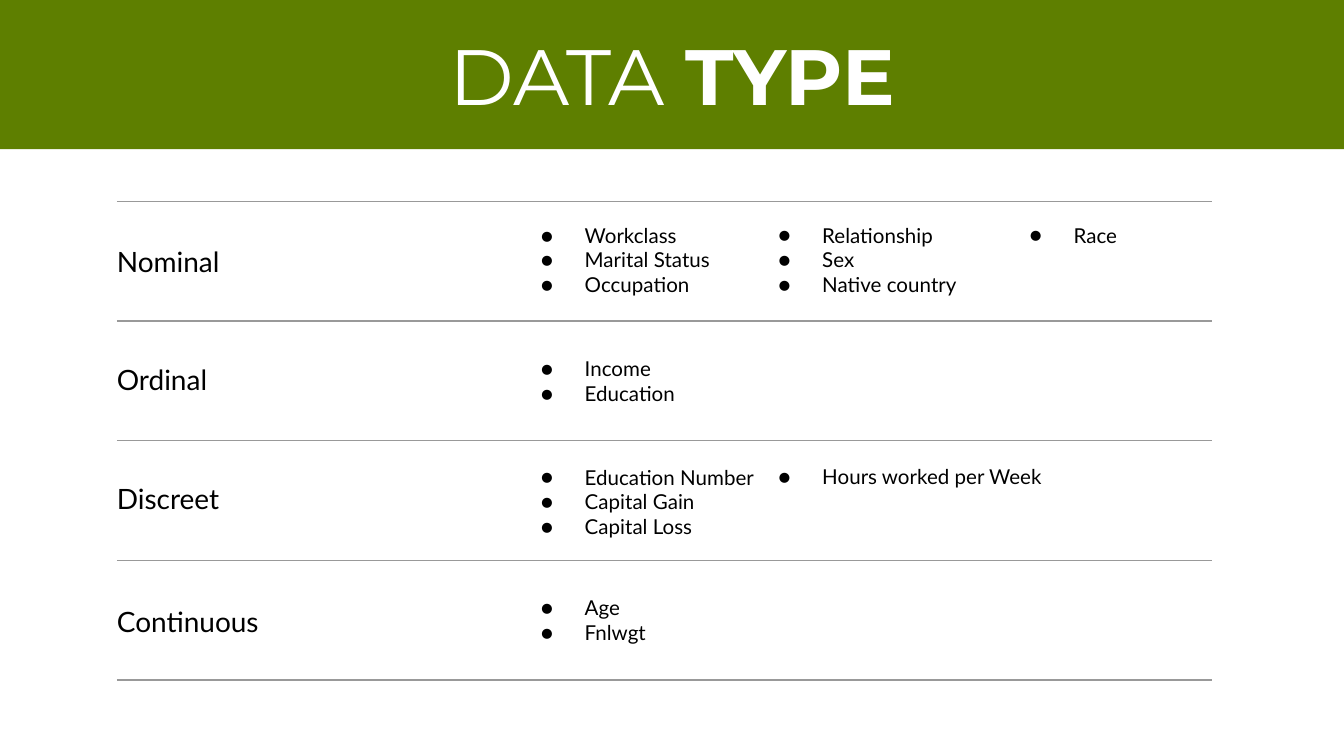
from lxml import etree
from pptx import Presentation
from pptx.dml.color import RGBColor
from pptx.enum.shapes import MSO_CONNECTOR
from pptx.enum.text import MSO_ANCHOR, MSO_AUTO_SIZE, PP_ALIGN
from pptx.oxml.ns import qn
from pptx.util import Cm, Pt

# Content: label, label top, list top, list height, [(width, items) per column]
ROWS = [
    ("Nominal", 4.37, 3.96, 1.96, [
        (5.66, ["Workclass", "Marital Status", "Occupation"]),
        (5.66, ["Relationship", "Sex", "Native country"]),
        (5.66, ["Race"])]),
    ("Ordinal", 6.6, 6.48, 1.47, [(13.36, ["Income", "Education"])]),
    ("Discreet", 8.86, 8.53, 1.9, [
        (13.36, ["Education Number", "Capital Gain", "Capital Loss"]),
        (5.97, ["Hours worked per Week"])]),
    ("Continuous", 11.18, 11, 1.47, [(13.36, ["Age", "Fnlwgt"])]),
]
TITLE = [("DATA ", False), ("TYPE", True)]

# Layout in cm
WIDTH, HEIGHT, BAND = 25.4, 14.29, 2.82
LABEL_X, COLUMNS = 1.96, (9.53, 14.02, 18.77)
RULE_X, RULE_END, RULE_Y, RULE_STEP = 2.21, 22.91, 3.81, 2.26
GREEN, GREY, BLACK, WHITE = "5E7F00", "999999", "000000", "FFFFFF"


def color(value):
    return RGBColor.from_string(value)


def place(sp, x, y, w, h, anchor=MSO_ANCHOR.TOP):
    sp.left, sp.top, sp.width, sp.height = Cm(x), Cm(y), Cm(w), Cm(h)
    tf = sp.text_frame
    tf.word_wrap, tf.auto_size = True, MSO_AUTO_SIZE.NONE
    tf.vertical_anchor = anchor
    tf.margin_left = tf.margin_right = tf.margin_top = tf.margin_bottom = Cm(0.25)
    return tf


def style(r, font, size, value, bold=False):
    r.font.name, r.font.size, r.font.bold = font, Pt(size), bold
    r.font.color.rgb = color(value)


def bullet(p):
    p.space_before = Pt(0)
    pPr = p._p.get_or_add_pPr()
    pPr.set("marL", str(Cm(1.27)))
    pPr.set("indent", str(Cm(-0.83)))
    clr = etree.SubElement(pPr, qn("a:buClr"))
    etree.SubElement(clr, qn("a:srgbClr"), val=BLACK)
    etree.SubElement(pPr, qn("a:buFont"), typeface="Lato")
    etree.SubElement(pPr, qn("a:buChar"), char="●")


def fill_text(tf, lines, size, bulleted=False):
    tf.text = "\n".join(lines)
    for p in tf.paragraphs:
        p.alignment = PP_ALIGN.LEFT
        if bulleted:
            bullet(p)
        style(p.runs[0], "Lato", size, BLACK)


prs = Presentation()
prs.slide_width, prs.slide_height = Cm(WIDTH), Cm(HEIGHT)
s = prs.slides.add_slide(prs.slide_layouts[4])  # title and four bodies
bodies = [sp for sp in s.placeholders if sp.placeholder_format.idx in range(1, 5)]

# Title band
title = s.shapes.title
title.fill.solid()
title.fill.fore_color.rgb = color(GREEN)
tf = place(title, 0, 0, WIDTH, BAND, MSO_ANCHOR.MIDDLE)
p = tf.paragraphs[0]
p.alignment = PP_ALIGN.CENTER
for text, bold in TITLE:
    r = p.add_run()
    r.text = text
    style(r, "Montserrat", 42, WHITE, bold)

# Row labels and lists
for (label, label_y, list_y, list_h, lists), body in zip(ROWS, bodies):
    box = s.shapes.add_textbox(0, 0, 0, 0)
    fill_text(place(box, LABEL_X, label_y, 5.66, 1.07), [label], 15)
    for i, (x, (w, items)) in enumerate(zip(COLUMNS, lists)):
        sp = s.shapes.add_textbox(0, 0, 0, 0) if i else body
        fill_text(place(sp, x, list_y, w, list_h), items, 11, bulleted=True)

# Separator lines
for i in range(len(ROWS) + 1):
    y = Cm(RULE_Y + i * RULE_STEP)
    line = s.shapes.add_connector(MSO_CONNECTOR.STRAIGHT, Cm(RULE_X), y, Cm(RULE_END), y)
    line.line.color.rgb = color(GREY)
    line.line.width = Pt(0.75)
    etree.SubElement(line._element.spPr, qn("a:effectLst"))

prs.save("out.pptx")
